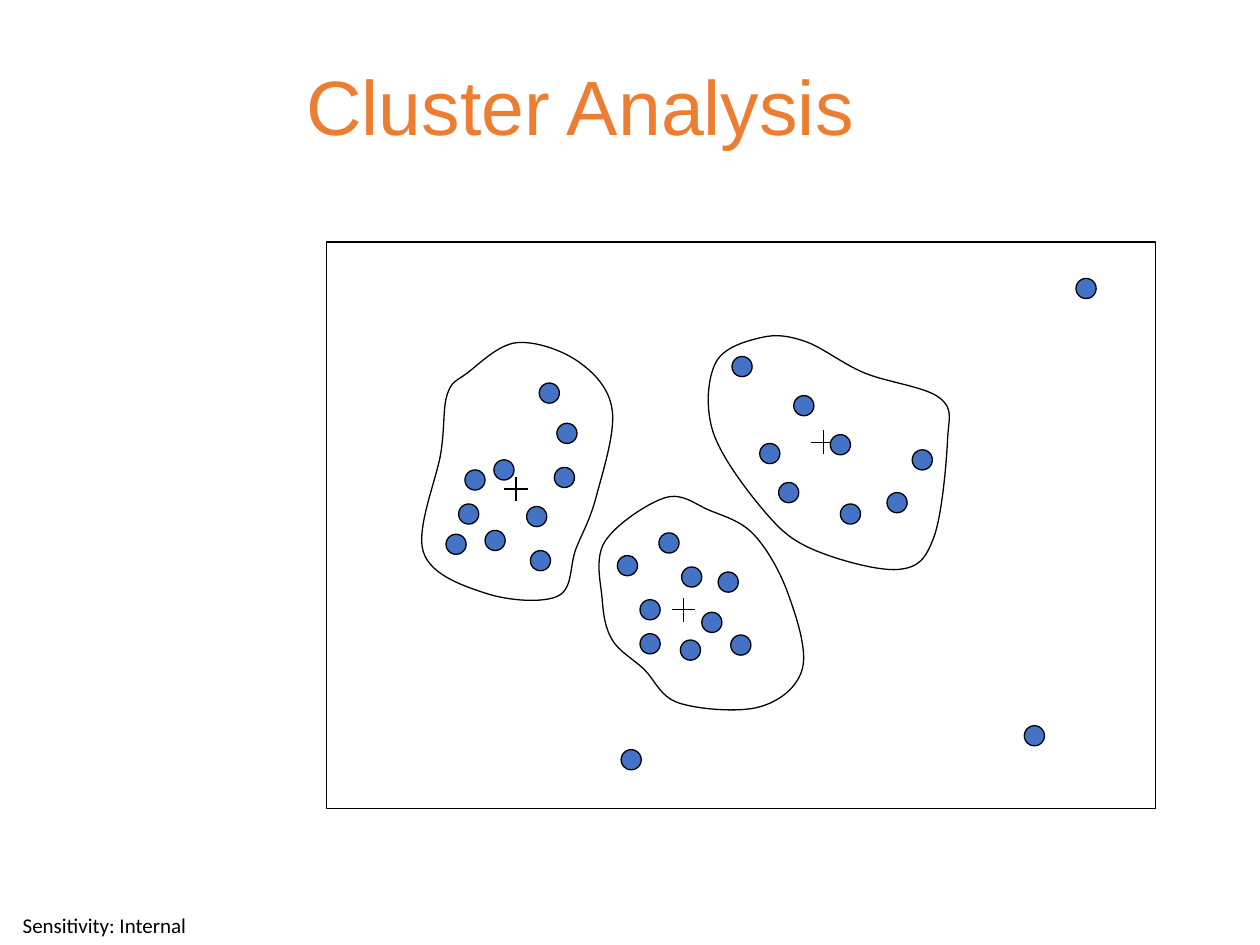
from lxml.etree import SubElement
from pptx import Presentation
from pptx.dml.color import RGBColor
from pptx.enum.shapes import MSO_CONNECTOR, MSO_SHAPE
from pptx.enum.text import MSO_ANCHOR, PP_ALIGN
from pptx.oxml.ns import qn
from pptx.util import Pt

GRID = 0.72  # points per drawing unit
DOT_SIZE = 16
CROSS_REACH = 9.5

# Each cluster: centre, top left corners of its dots, points on its outline
CLUSTERS = [
    ((409.5, 388),
     [(385, 421), (364, 400), (418, 402), (392, 365), (354, 424),
      (369, 373), (421, 437), (440, 371), (442, 336), (428, 304)],
     [(410, 272), (459, 287), (486, 326), (473, 395), (457, 436), (443, 473),
      (386, 471), (336, 438), (350, 359), (355, 313), (371, 296)]),
    ((542.5, 484),
     [(490, 441), (570, 454), (540, 508), (557, 486), (508, 476),
      (508, 503), (523, 423), (541, 450), (580, 504)],
     [(528, 395), (563, 405), (598, 424), (625, 470), (637, 530), (603, 561),
      (539, 558), (511, 531), (486, 508), (478, 476), (480, 430)]),
    ((653.5, 351),
     [(630, 314), (618, 383), (659, 345), (603, 352), (724, 357),
      (704, 391), (667, 400), (581, 283)],
     [(604, 268), (639, 271), (686, 296), (746, 316), (752, 350), (741, 427),
      (713, 452), (645, 436), (606, 405), (566, 343), (568, 288)]),
]
OUTLIERS = [(813, 576), (493, 595), (854, 221)]


def color(code):
    return RGBColor.from_string(code)


def units(*values):
    return [Pt(GRID * value) for value in values]


def handle(point, before, after):
    """Move a point along the direction from one neighbour to the other."""
    return tuple(p + (a - b) / 6 for p, b, a in zip(point, before, after))


def smooth_loop(points):
    """Give two handles and an end point for each curve of a closed loop."""
    count = len(points)
    curves = []
    for i, start in enumerate(points):
        end, beyond = points[(i + 1) % count], points[(i + 2) % count]
        curves += [handle(start, points[i - 1], end),
                   handle(end, beyond, start), end]
    return curves


class ClusterSlide:
    ink = "000000"
    dot_fill = "4472C4"
    title_color = "ED7D31"
    line_width = Pt(0.75)

    def __init__(self, page):
        self.page = page

    def style_line(self, item):
        item.line.color.rgb = color(self.ink)
        item.line.width = self.line_width

    def shape(self, kind, left, top, width, height, fill=None):
        item = self.page.shapes.add_shape(kind, *units(left, top, width, height))
        item.shadow.inherit = False
        if fill:
            item.fill.solid()
            item.fill.fore_color.rgb = color(fill)
        else:
            item.fill.background()
        self.style_line(item)

    def dot(self, left, top):
        self.shape(MSO_SHAPE.FLOWCHART_CONNECTOR, left, top,
                   DOT_SIZE, DOT_SIZE, self.dot_fill)

    def line(self, *ends):
        item = self.page.shapes.add_connector(MSO_CONNECTOR.STRAIGHT, *units(*ends))
        self.style_line(item)
        SubElement(item._element.spPr, qn("a:effectLst"))

    def cross(self, x, y):
        self.line(x - CROSS_REACH, y, x + CROSS_REACH, y)
        self.line(x, y + CROSS_REACH, x, y - CROSS_REACH)

    def outline(self, points):
        places = [units(*point) for point in smooth_loop(points)]
        builder = self.page.shapes.build_freeform(*units(*points[0]))
        builder.add_line_segments(places, close=False)
        item = builder.convert_to_shape()
        item.shadow.inherit = False
        item.fill.background()
        self.style_line(item)
        # Turn every three straight segments into one Bezier curve
        track = next(item._element.iter(qn("a:path")))
        segments = track.findall(qn("a:lnTo"))
        for first in range(0, len(segments), 3):
            curve = SubElement(track, qn("a:cubicBezTo"))
            for segment in segments[first:first + 3]:
                curve.append(segment[0])
                track.remove(segment)
        SubElement(track, qn("a:close"))

    def text(self, words, frame, font, size, code, inset=(0, 0),
             anchor=MSO_ANCHOR.TOP, align=PP_ALIGN.LEFT, spacing=1.0):
        box = self.page.shapes.add_textbox(*[Pt(value) for value in frame])
        body = box.text_frame
        body.word_wrap = True
        body.vertical_anchor = anchor
        body.margin_left = body.margin_right = Pt(inset[0])
        body.margin_top = body.margin_bottom = Pt(inset[1])
        para = body.paragraphs[0]
        para.alignment = align
        para.line_spacing = spacing
        span = para.add_run()
        span.text = words
        span.font.name = font
        span.font.size = Pt(size)
        span.font.color.rgb = color(code)


def main():
    deck = Presentation()
    deck.slide_width, deck.slide_height = Pt(720), Pt(540)
    slide = ClusterSlide(deck.slides.add_slide(deck.slide_layouts[6]))

    # Footer and title
    slide.text("Sensitivity: Internal", (0, 521.3, 119.5, 14.4), "Calibri", 12,
               slide.ink, anchor=MSO_ANCHOR.MIDDLE, align=PP_ALIGN.CENTER)
    slide.text("Cluster Analysis", (167.8, 36, 342, 48.2), "Arial", 44,
               slide.title_color, inset=(7.2, 3.6), spacing=0.9)

    # Plot frame and outliers
    slide.shape(MSO_SHAPE.RECTANGLE, 259, 192, 658, 450)
    for place in OUTLIERS:
        slide.dot(*place)

    # Clusters
    for centre, dots, border in CLUSTERS:
        slide.outline(border)
        slide.cross(*centre)
        for place in dots:
            slide.dot(*place)

    deck.save("out.pptx")


if __name__ == "__main__":
    main()
